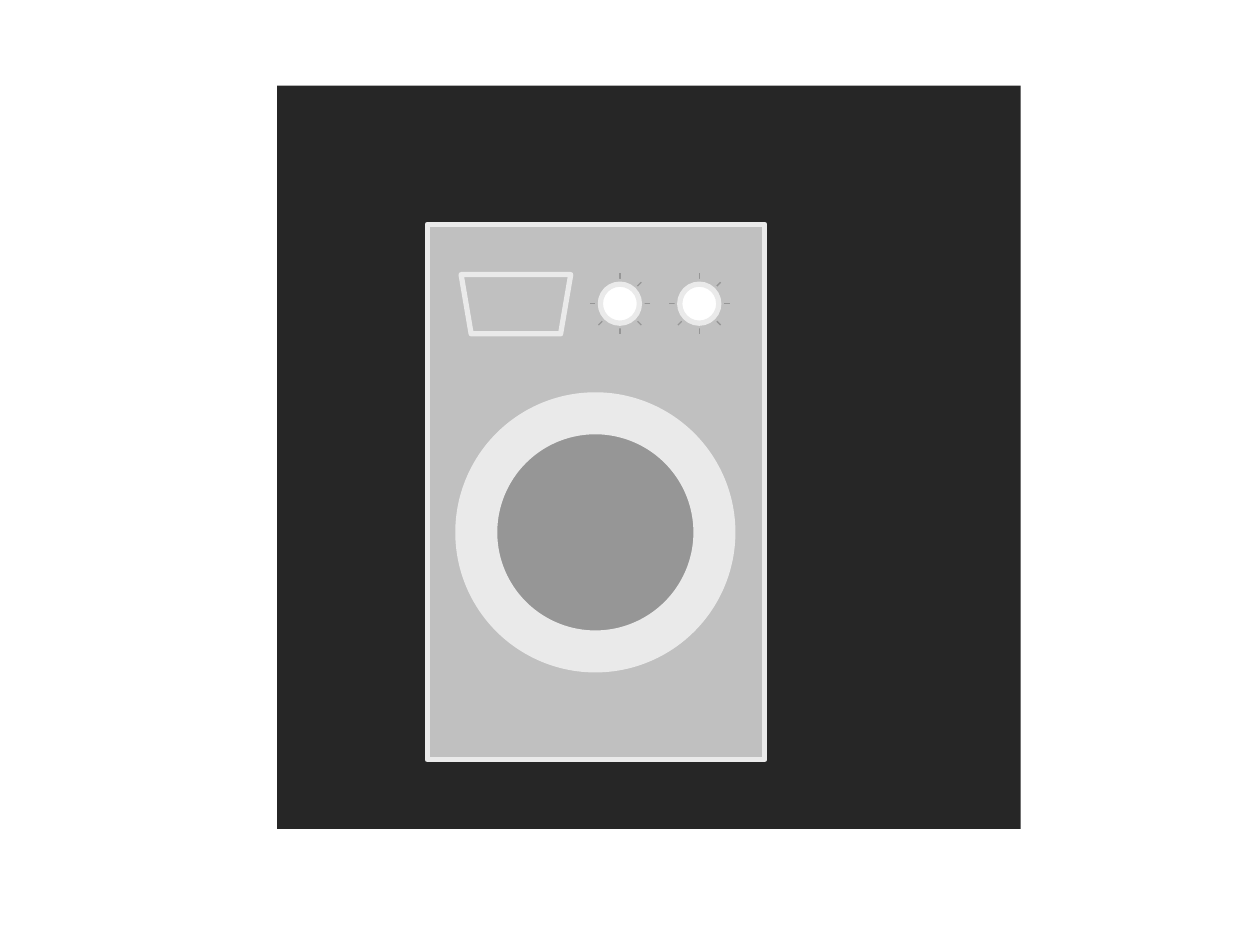
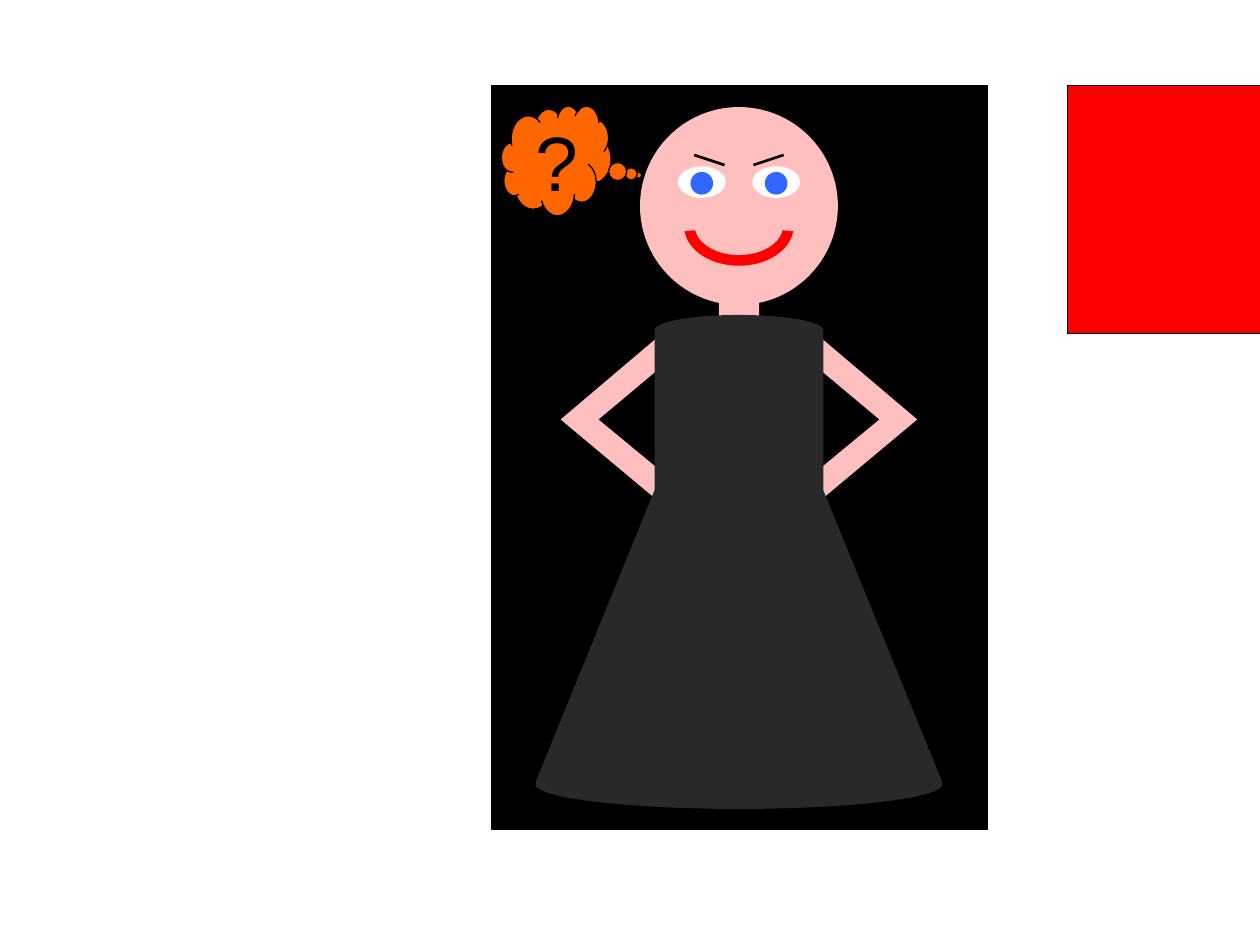
"""Build two slides: a washing machine and a wondering woman in a dress."""
from lxml import etree
from pptx import Presentation
from pptx.dml.color import RGBColor
from pptx.enum.shapes import MSO_CONNECTOR, MSO_SHAPE
from pptx.enum.text import MSO_ANCHOR
from pptx.oxml.ns import qn
from pptx.util import Inches, Pt

RECT, OVAL = MSO_SHAPE.RECTANGLE, MSO_SHAPE.OVAL
ROUND, ARC, CLOUD = MSO_SHAPE.ROUNDED_RECTANGLE, MSO_SHAPE.BLOCK_ARC, MSO_SHAPE.CLOUD_CALLOUT
STRAIGHT, BOTTOM = MSO_CONNECTOR.STRAIGHT, MSO_ANCHOR.BOTTOM

DARK, STEEL, PALE, GREY = "262626", "C0C0C0", "EAEAEA", "969696"
WHITE, BLACK, RED, SKIN, BLUE = "FFFFFF", "000000", "FF0000", "FFBFBF", "3366FF"
DRESS, ORANGE = "292929", "FF6600"
FONT = "Arial"

TOP, SIDE = 0.68, 5.9
KNOB_CENTRES = [(4.92, 2.41), (5.55, 2.41)]
KNOB = 0.31
TICKS = [((0, -0.24), (0, 0.24)), ((0.17, -0.17), (-0.17, 0.17)),
         ((0.24, 0), (-0.24, 0)), ((-0.04, -0.04), (0.17, 0.17))]
DRAWER = [(3.66, 2.18), (4.53, 2.18), (4.45, 2.65), (3.74, 2.65)]

AXIS = 5.865
EYE_GAP, EYE_Y = 0.295, 1.445
RIGHT_ARM = [(6.18, 2.66), (6.49, 2.66), (7.28, 3.33),
             (6.49, 3.99), (6.18, 3.99), (6.98, 3.33)]
RIGHT_BROW = [(6.22, 1.23), (5.98, 1.31)]
SKIRT = [(4.25, 6.21), (7.48, 6.21), (6.51, 3.83), (5.22, 3.83)]


def rgb(colour):
    """Turn a hex string into a colour."""
    return RGBColor.from_string(colour)


def paint(sp, fill, line=None, width=0.75):
    """Give a shape its fill and outline, without a shadow."""
    sp.shadow.inherit = False
    sp.fill.solid()
    sp.fill.fore_color.rgb = rgb(fill)
    if line:
        sp.line.color.rgb = rgb(line)
        sp.line.width = Pt(width)
    else:
        sp.line.fill.background()


def shape(shapes, kind, x, y, w, h, fill, line=None, width=0.75, adj=()):
    """Add a preset shape from its top left corner."""
    sp = shapes.add_shape(kind, Inches(x), Inches(y), Inches(w), Inches(h))
    for i, value in enumerate(adj):
        sp.adjustments[i] = value
    paint(sp, fill, line, width)


def centred(shapes, kind, cx, cy, w, h, fill, **style):
    """Add a preset shape around its centre."""
    shape(shapes, kind, cx - w / 2, cy - h / 2, w, h, fill, **style)


def polygon(shapes, points, fill, line=None, width=0.75):
    """Add a closed outline through the points."""
    points = [(Inches(x), Inches(y)) for x, y in points]
    builder = shapes.build_freeform(*points[0])
    builder.add_line_segments(points[1:], close=True)
    paint(builder.convert_to_shape(), fill, line, width)


def line(shapes, start, end, colour, width=0.75):
    """Add a straight line."""
    cn = shapes.add_connector(STRAIGHT, *(Inches(v) for v in (*start, *end)))
    cn.line.color.rgb = rgb(colour)
    cn.line.width = Pt(width)
    etree.SubElement(cn._element.spPr, qn("a:effectLst"))


def text(shapes, words, x, y, w, h, size=44, colour=BLACK, anchor=BOTTOM):
    """Add a text box."""
    tf = shapes.add_textbox(Inches(x), Inches(y), Inches(w), Inches(h)).text_frame
    tf.word_wrap = True
    tf.vertical_anchor = anchor
    r = tf.paragraphs[0].add_run()
    r.text = words
    r.font.name, r.font.size, r.font.color.rgb = FONT, Pt(size), rgb(colour)


def mirror(points):
    """Reflect points across the axis of the figure."""
    return [(2 * AXIS - x, y) for x, y in points]


def group(shapes):
    """Add a group and return its shapes."""
    return shapes.add_group_shape().shapes


def washing_machine(shapes):
    """Draw the machine on its dark square."""
    shape(shapes, RECT, 2.2, TOP, SIDE, SIDE, DARK)
    shape(shapes, RECT, 3.39, 1.78, 2.68, 4.25, STEEL, PALE, 3)
    ticks = group(shapes)
    for cx, cy in KNOB_CENTRES:
        for (x1, y1), (x2, y2) in TICKS:
            line(ticks, (cx + x1, cy + y1), (cx + x2, cy + y2), GREY)
    for ring, width in [(STEEL, 6), (PALE, 3)]:
        for cx, cy in KNOB_CENTRES:
            centred(shapes, ROUND, cx, cy, KNOB, KNOB, WHITE,
                    line=ring, width=width, adj=[0.5])
    shape(shapes, ROUND, 3.78, 3.28, 1.89, 1.89, GREY, PALE, 24, [0.5])
    polygon(shapes, DRAWER, STEEL, PALE, 3)


def woman(shapes):
    """Draw the woman and her thought on the black panel."""
    shape(shapes, RECT, 3.9, TOP, 3.94, SIDE, BLACK, BLACK)
    shape(shapes, RECT, 8.47, TOP, 3.94, 1.97, RED, BLACK)
    centred(shapes, OVAL, AXIS, 1.635, 1.57, 1.57, SKIN)
    centred(shapes, ARC, AXIS, 1.795, 0.87, 0.63, RED, adj=[3.244, 104.756, 0.134])
    eyes = group(shapes)
    for side in (-1, 1):
        cx = AXIS + side * EYE_GAP
        centred(eyes, OVAL, cx, EYE_Y, 0.38, 0.25, WHITE)
        centred(eyes, OVAL, cx, EYE_Y + 0.01, 0.18, 0.18, BLUE)
    arms = group(shapes)
    for arm in (RIGHT_ARM, mirror(RIGHT_ARM)):
        polygon(arms, arm, SKIN)
    centred(shapes, RECT, AXIS, 2.445, 0.32, 0.39, SKIN)
    dress = group(shapes)
    centred(dress, OVAL, AXIS, 6.225, 3.23, 0.39, DRESS)
    centred(dress, RECT, AXIS, 3.26, 1.34, 1.26, DRESS)
    polygon(dress, SKIRT, DRESS)
    centred(dress, OVAL, AXIS, 2.62, 1.34, 0.24, DRESS)
    brows = group(shapes)
    for brow in (mirror(RIGHT_BROW), RIGHT_BROW):
        line(brows, *brow, BLACK, 1.5)
    shape(shapes, CLOUD, 3.98, 0.84, 0.87, 0.87, ORANGE, BLACK, adj=[0.752, 0.133])
    text(shapes, "?", 4.15, 0.85, 0.88, 0.84)


def main():
    """Build and save both slides."""
    prs = Presentation()
    prs.slide_width, prs.slide_height = Inches(10), Inches(7.5)
    for draw in (washing_machine, woman):
        s = prs.slides.add_slide(prs.slide_layouts[6])
        draw(s.shapes)
    prs.save("out.pptx")


if __name__ == "__main__":
    main()
